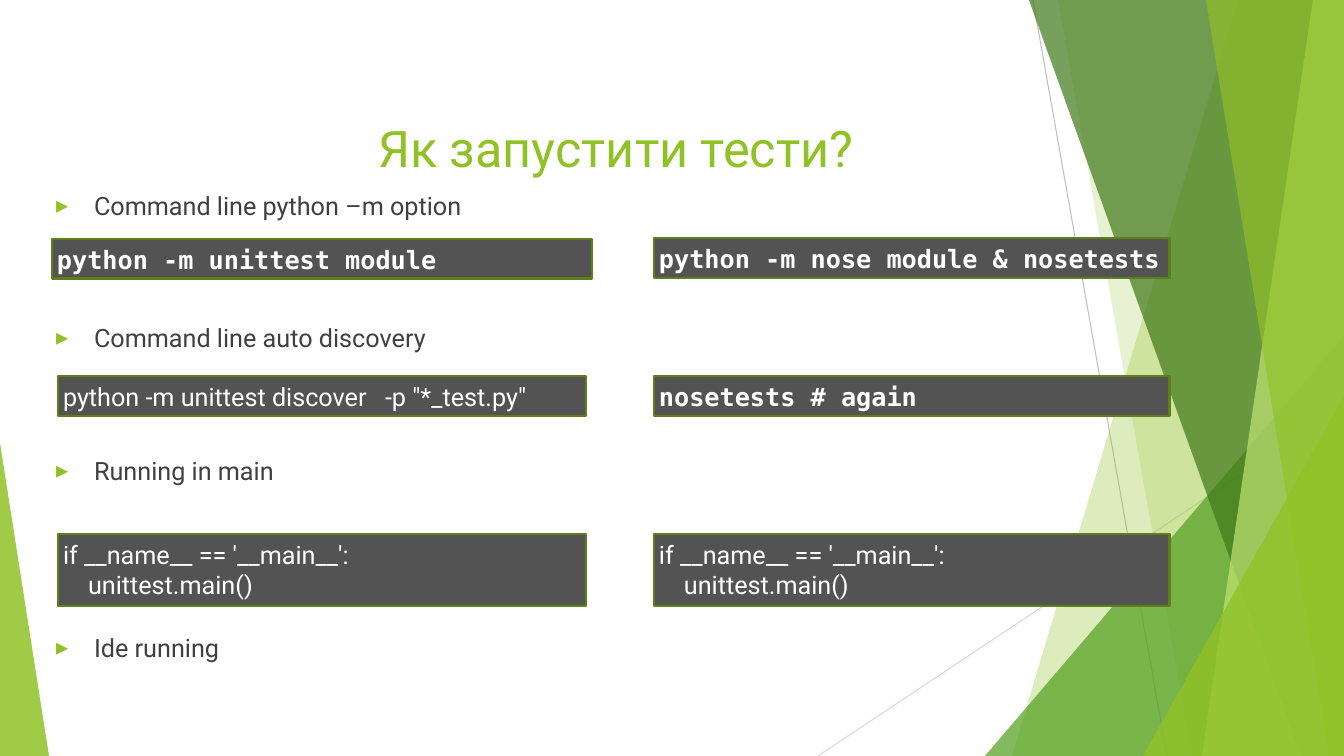
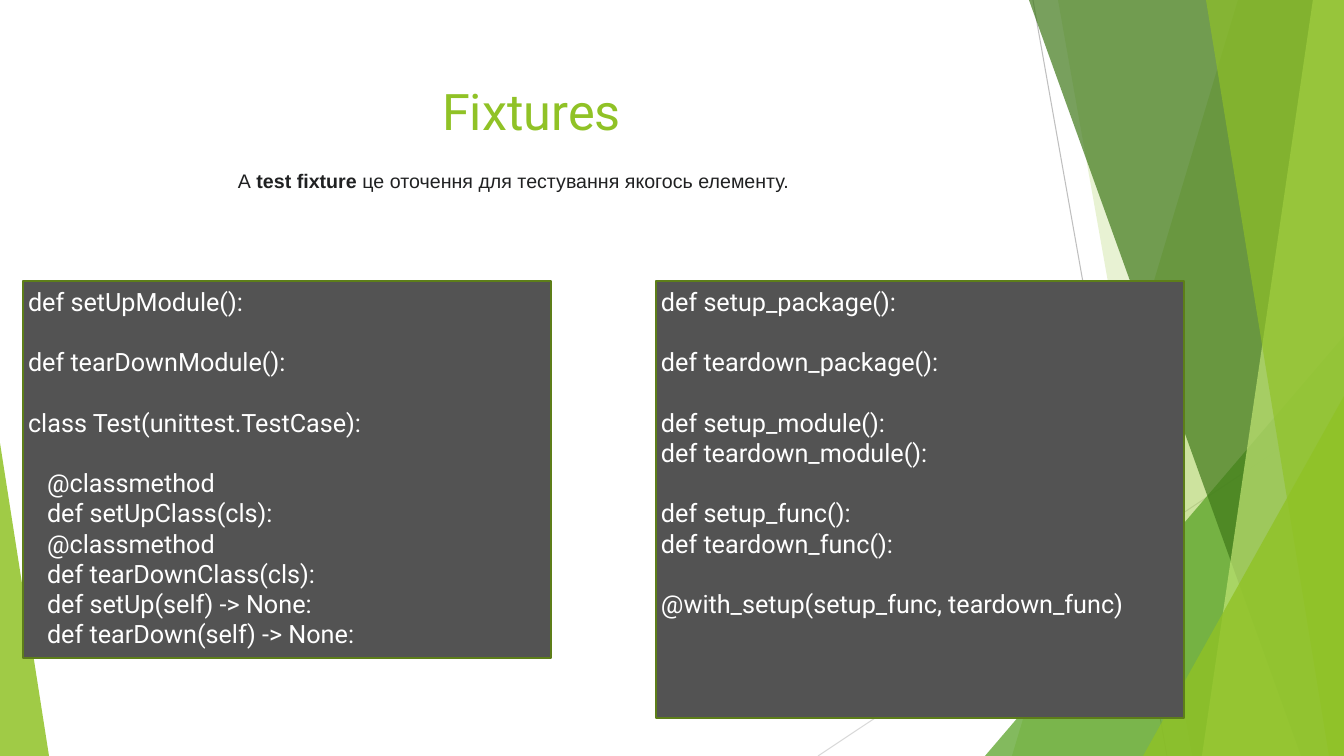
"""Build two slides on running Python tests and on test fixtures."""
import dataclasses
import typing

import lxml.etree
import pptx
import pptx.dml.color
import pptx.enum.shapes
import pptx.enum.text
import pptx.oxml.ns
import pptx.util

EMU_PER_PIXEL = 914400 / 100.8
PAGE_WIDTH, PAGE_HEIGHT = 1344, 756
TITLE_AND_BODY, TITLE_ONLY = 1, 5
ANCHOR = pptx.enum.text.MSO_ANCHOR
LEFT = pptx.enum.text.PP_ALIGN.LEFT
SHAPES = pptx.enum.shapes.MSO_SHAPE


@dataclasses.dataclass(frozen=True)
class Theme:
    """Colours, fonts and type sizes of the deck."""
    lime: str = "90C226"
    pale_lime: str = "C0E474"
    leaf: str = "54A021"
    forest: str = "3F7819"
    light_rule: str = "D9D9D9"
    rule: str = "BFBFBF"
    body: str = "404040"
    note: str = "202122"
    code: str = "FFFFFF"
    code_fill: str = "535353"
    code_border: str = "5D7E19"
    sans: str = "Roboto"
    mono: str = "DejaVu Sans Mono"
    note_font: str = "Arial"
    title_size: float = 36
    text_size: float = 18
    note_size: float = 14
    line_height: float = 21.6
    bullet_space: float = 10
    bullet_indent: int = 38


THEME = Theme()


class Frame(typing.NamedTuple):
    """Left, top, width and height in pixels."""
    left: int
    top: int
    width: int
    height: int


class Band(typing.NamedTuple):
    """A sheet from a slanted left side to the right page edge."""
    top_x: int
    bottom_x: int
    color: str
    opacity: int


class Wedge(typing.NamedTuple):
    """A triangle whose tip lies at a fraction of its width."""
    frame: Frame
    tip: float
    color: str
    opacity: int


class Ray(typing.NamedTuple):
    """A thin line between two points."""
    start: tuple[int, int]
    end: tuple[int, int]
    color: str


class Line(typing.NamedTuple):
    """A line of text, the rows skipped above it and its indent in pixels."""
    text: str
    skipped: int = 0
    indent: int = 0
    tab: int = 0


@dataclasses.dataclass(frozen=True)
class CodeBox:
    """A dark box with lines of code; a command is bold and monospaced."""
    frame: Frame
    lines: list[Line]
    command: bool = False


BACKDROP = [
    Ray((1033, 0), (1167, PAGE_HEIGHT), THEME.rule),
    Ray((PAGE_WIDTH, 406), (818, PAGE_HEIGHT), THEME.light_rule),
    Band(1238, 1012, THEME.lime, 30),
    Band(1058, 1192, THEME.lime, 20),
    Wedge(Frame(985, 336, 359, 420), 1, THEME.leaf, 72),
    Band(1029, 1301, THEME.forest, 70),
    Band(1313, 1202, THEME.pale_lime, 70),
    Band(1206, 1329, THEME.lime, 65),
    Wedge(Frame(1143, 396, 201, 360), 1, THEME.lime, 80),
    Wedge(Frame(0, 443, 49, 313), 0, THEME.lime, 85),
]

WAYS_TO_RUN = [
    Line("Command line python –m option"),
    Line("Command line auto discovery", 2),
    Line("Running in main", 2),
    Line("Ide running", 3),
]

MAIN_GUARD = [Line("if __name__ == '__main__':"), Line("unittest.main()", indent=25)]
RUN_BOXES = [
    CodeBox(Frame(52, 239, 540, 40), [Line("python -m unittest module")], True),
    CodeBox(Frame(654, 238, 516, 40), [Line("python -m nose module & nosetests")], True),
    CodeBox(Frame(58, 376, 528, 40),
            [Line('python -m unittest discover\t-p "*_test.py"', tab=322)]),
    CodeBox(Frame(654, 376, 516, 40), [Line("nosetests # again")], True),
    CodeBox(Frame(58, 534, 528, 72), MAIN_GUARD),
    CodeBox(Frame(654, 534, 516, 72), MAIN_GUARD),
]

FIXTURE_BOXES = [
    CodeBox(Frame(23, 281, 528, 377), [
        Line("def setUpModule():"),
        Line("def tearDownModule():", 1),
        Line("class Test(unittest.TestCase):", 1),
        Line("@classmethod", 1, 19),
        Line("def setUpClass(cls):", 0, 19),
        Line("@classmethod", 0, 19),
        Line("def tearDownClass(cls):", 0, 19),
        Line("def setUp(self) -> None:", 0, 19),
        Line("def tearDown(self) -> None:", 0, 19),
    ]),
    CodeBox(Frame(656, 281, 528, 437), [
        Line("def setup_package():"),
        Line("def teardown_package():", 1),
        Line("def setup_module():", 1),
        Line("def teardown_module():"),
        Line("def setup_func():", 1),
        Line("def teardown_func():"),
        Line("@with_setup(setup_func, teardown_func)", 1),
    ]),
]


def px(length: float) -> pptx.util.Emu:
    """Turn pixels into EMU."""
    return pptx.util.Emu(round(length * EMU_PER_PIXEL))


def rgb(color: str) -> pptx.dml.color.RGBColor:
    """Turn a hex string into a colour."""
    return pptx.dml.color.RGBColor.from_string(color)


def apply(target: typing.Any, **formats: typing.Any) -> None:
    """Set each format value on the target."""
    for name, value in formats.items():
        setattr(target, name, value)


def add_xml(parent: typing.Any, tag: str, **values: typing.Any) -> typing.Any:
    """Append a DrawingML element with the given attributes."""
    child = lxml.etree.SubElement(parent, pptx.oxml.ns.qn(f"a:{tag}"))
    for name, value in values.items():
        child.set(name, str(value))
    return child


def place(box: typing.Any, frame: Frame) -> None:
    """Move and size a shape."""
    apply(box, **{side: px(length) for side, length in frame._asdict().items()})


def set_frame(box: typing.Any, anchor: typing.Any = ANCHOR.TOP) -> typing.Any:
    """Wrap the text of a box at a fixed size and return its frame."""
    apply(box.text_frame, word_wrap=True, vertical_anchor=anchor,
          auto_size=pptx.enum.text.MSO_AUTO_SIZE.NONE)
    return box.text_frame


def add_span(para: typing.Any, text: str, color: str, font: str = THEME.sans,
             size: float = THEME.text_size, bold: bool = False) -> None:
    """Add a formatted run to a paragraph."""
    span = para.add_run()
    span.text = text
    apply(span.font, name=font, size=pptx.util.Pt(size), bold=bold)
    span.font.color.rgb = rgb(color)


def add_para(text_frame: typing.Any, index: int, space: float) -> typing.Any:
    """Return the paragraph at the index, left-aligned below the given space."""
    para = text_frame.add_paragraph() if index else text_frame.paragraphs[0]
    apply(para, alignment=LEFT, space_before=pptx.util.Pt(space))
    return para


def paint(shape: typing.Any, color: str, opacity: int) -> None:
    """Give a shape a translucent fill without a line or shadow."""
    shape.shadow.inherit = False
    shape.fill.solid()
    shape.fill.fore_color.rgb = rgb(color)
    add_xml(shape.element.find(".//" + pptx.oxml.ns.qn("a:srgbClr")), "alpha",
            val=opacity * 1000)
    shape.line.fill.background()


def draw_ray(shapes: typing.Any, ray: Ray) -> None:
    """Draw a thin line."""
    line = shapes.add_connector(pptx.enum.shapes.MSO_CONNECTOR.STRAIGHT,
                                *map(px, ray.start + ray.end))
    line.line.color.rgb = rgb(ray.color)
    line.line.width = pptx.util.Pt(0.75)
    add_xml(line.element.spPr, "effectLst")


def draw_band(shapes: typing.Any, band: Band) -> None:
    """Draw a slanted sheet of full page height."""
    outline = shapes.build_freeform(band.top_x, 0, EMU_PER_PIXEL)
    outline.add_line_segments([(PAGE_WIDTH, 0), (PAGE_WIDTH, PAGE_HEIGHT),
                               (band.bottom_x, PAGE_HEIGHT)])
    paint(outline.convert_to_shape(), band.color, band.opacity)


def draw_wedge(shapes: typing.Any, wedge: Wedge) -> None:
    """Draw a triangle."""
    shape = shapes.add_shape(SHAPES.ISOSCELES_TRIANGLE, *map(px, wedge.frame))
    shape.adjustments[0] = wedge.tip
    paint(shape, wedge.color, wedge.opacity)


def add_backdrop(deck: typing.Any, page: typing.Any) -> None:
    """Draw the backdrop as a group and hand it to the slide master."""
    group = page.shapes.add_group_shape()
    drawers = {Ray: draw_ray, Band: draw_band, Wedge: draw_wedge}
    for part in BACKDROP:
        drawers[type(part)](group.shapes, part)
    tree = deck.slide_master.shapes.element
    tree.insert(2, group.element)
    for number, item in enumerate(tree.iter("{*}cNvPr"), 1):
        item.set("id", str(number))


def set_title(page: typing.Any, text: str, frame: Frame) -> None:
    """Fill and format the title placeholder."""
    title = page.shapes.title
    place(title, frame)
    para = add_para(set_frame(title, ANCHOR.MIDDLE), 0, 0)
    add_span(para, text, THEME.lime, size=THEME.title_size)


def set_bullets(page: typing.Any, lines: list[Line], frame: Frame) -> None:
    """Fill the body placeholder with a bulleted list."""
    body = page.placeholders[1]
    place(body, frame)
    text_frame = set_frame(body)
    step = THEME.line_height + THEME.bullet_space
    for index, line in enumerate(lines):
        para = add_para(text_frame, index, THEME.bullet_space + line.skipped * step)
        add_span(para, line.text, THEME.body)
        layout = para._p.get_or_add_pPr()
        layout.set("marL", str(px(THEME.bullet_indent)))
        layout.set("indent", str(px(-THEME.bullet_indent)))
        add_xml(add_xml(layout, "buClr"), "srgbClr", val=THEME.lime)
        add_xml(layout, "buSzPct", val=80000)
        add_xml(layout, "buFont", typeface=THEME.mono)
        add_xml(layout, "buChar", char="▶")


def add_code(page: typing.Any, code: CodeBox) -> None:
    """Draw a dark box with code."""
    box = page.shapes.add_shape(SHAPES.RECTANGLE, *map(px, code.frame))
    box.shadow.inherit = False
    box.fill.solid()
    box.fill.fore_color.rgb = rgb(THEME.code_fill)
    box.line.color.rgb = rgb(THEME.code_border)
    box.line.width = pptx.util.Pt(2)
    text_frame = set_frame(box)
    apply(text_frame, **{f"margin_{side}": px(5)
                         for side in ("left", "top", "right", "bottom")})
    font = THEME.mono if code.command else THEME.sans
    for index, line in enumerate(code.lines):
        para = add_para(text_frame, index, line.skipped * THEME.line_height)
        add_span(para, line.text, THEME.code, font, bold=code.command)
        layout = para._p.get_or_add_pPr()
        layout.set("marL", str(px(line.indent)))
        if line.tab:
            add_xml(add_xml(layout, "tabLst"), "tab", pos=px(line.tab), algn="l")


def add_definition(page: typing.Any, frame: Frame) -> None:
    """Add the sentence that defines a fixture."""
    box = page.shapes.add_textbox(*map(px, frame))
    para = add_para(set_frame(box), 0, 0)
    for text, bold in (("A\u00a0", False), ("test fixture\u00a0", True),
                       ("це оточення для тестування якогось елементу.", False)):
        add_span(para, text, THEME.note, THEME.note_font, THEME.note_size, bold)


def main() -> None:
    """Build and save the deck."""
    deck = pptx.Presentation()
    apply(deck, slide_width=px(PAGE_WIDTH), slide_height=px(PAGE_HEIGHT))
    running = deck.slides.add_slide(deck.slide_layouts[TITLE_AND_BODY])
    add_backdrop(deck, running)
    set_title(running, "Як запустити тести?", Frame(368, 109, 948, 76))
    set_bullets(running, WAYS_TO_RUN, Frame(46, 185, 1240, 553))
    fixtures = deck.slides.add_slide(deck.slide_layouts[TITLE_ONLY])
    set_title(fixtures, "Fixtures", Frame(432, 70, 240, 80))
    add_definition(fixtures, Frame(228, 164, 673, 34))
    for page, boxes in ((running, RUN_BOXES), (fixtures, FIXTURE_BOXES)):
        for code in boxes:
            add_code(page, code)
    deck.save("out.pptx")


main()
